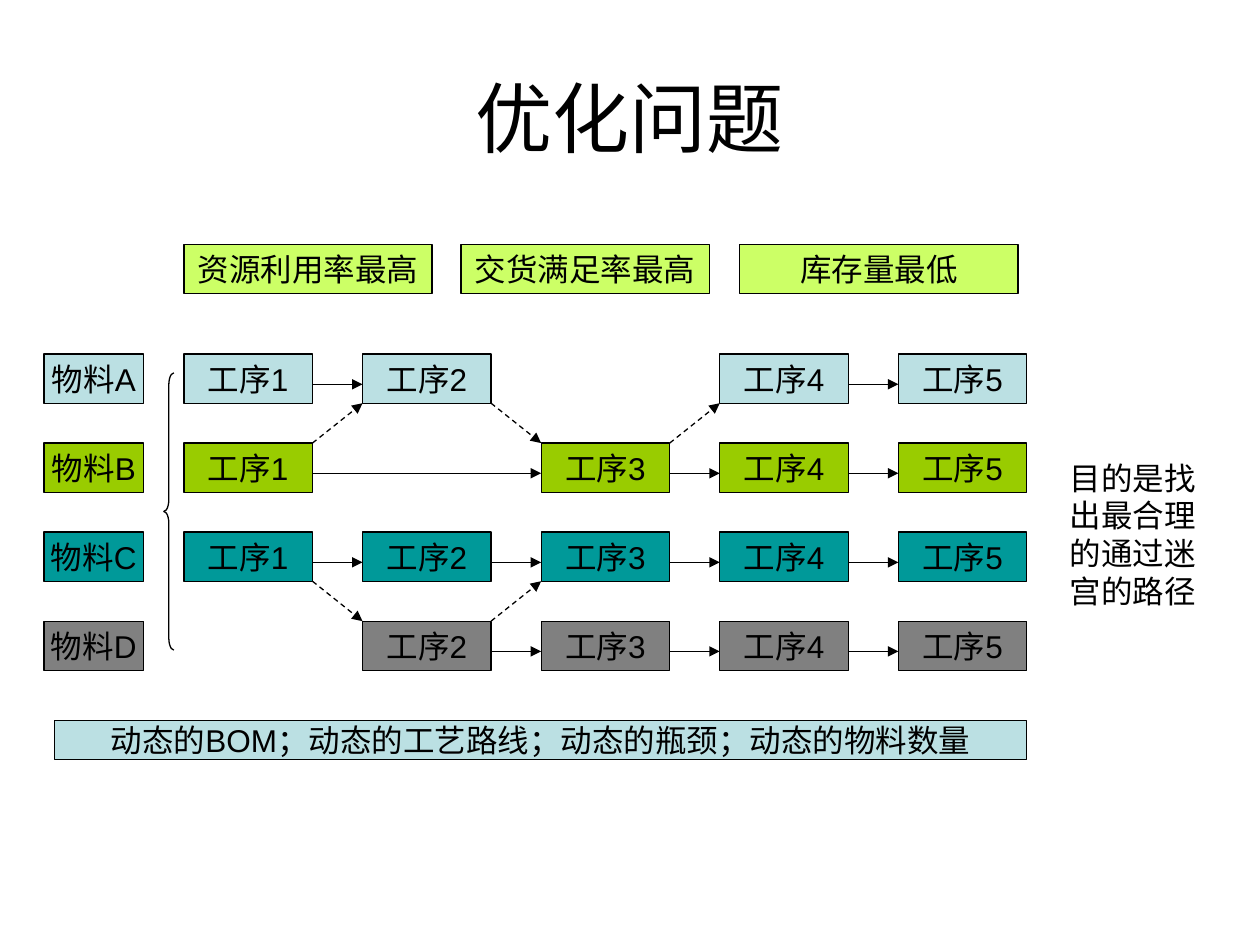
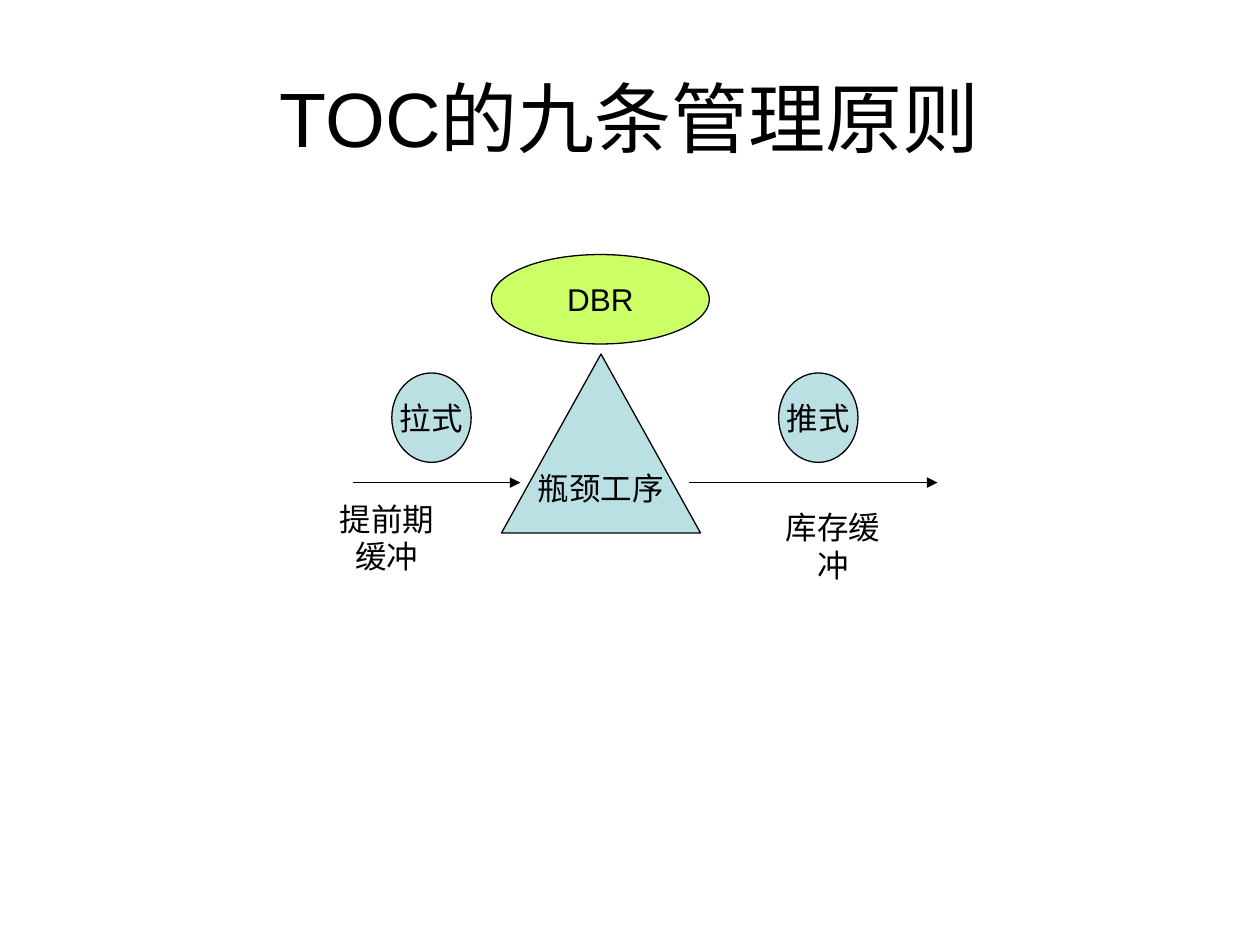
from dataclasses import dataclass

from pptx import Presentation
from pptx.dml.color import RGBColor
from pptx.enum.dml import MSO_LINE
from pptx.enum.shapes import MSO_CONNECTOR, MSO_SHAPE
from pptx.enum.text import MSO_ANCHOR, PP_ALIGN
from pptx.oxml.ns import qn
from pptx.oxml.xmlchemy import OxmlElement
from pptx.util import Inches, Pt

RECTANGLE = MSO_SHAPE.RECTANGLE
OVAL = MSO_SHAPE.OVAL
TRIANGLE = MSO_SHAPE.FLOWCHART_EXTRACT
BRACE = MSO_SHAPE.LEFT_BRACE
STRAIGHT = MSO_CONNECTOR.STRAIGHT
DASH = MSO_LINE.DASH
MIDDLE, TOP = MSO_ANCHOR.MIDDLE, MSO_ANCHOR.TOP
CENTER, LEFT = PP_ALIGN.CENTER, PP_ALIGN.LEFT
TITLE_ONLY = 5


@dataclass(frozen=True)
class Theme:
    """Colours, font and type sizes shared by the slides."""

    ink: str = "000000"
    pale_blue: str = "BBE0E3"
    lime: str = "CCFF66"
    green: str = "99CC00"
    teal: str = "009999"
    gray: str = "808080"
    font: str = "Arial"
    title_size: int = 44
    body_size: int = 18
    line_width: float = 0.75


THEME = Theme()
INK = RGBColor.from_string(THEME.ink)

STEP_LEFT, STEP_PITCH = 1.46, (7.13 - 1.46) / 4
ROW_TOP, ROW_PITCH = 2.81, (4.93 - 2.81) / 3
STEP_WIDTH, STEP_HEIGHT = 1.02, 0.39
ARROW_DROP = 0.24

MATERIALS = {
    "A": (THEME.pale_blue, [(1, 2), (4, 5)]),
    "B": (THEME.green, [(1, 3, 4, 5)]),
    "C": (THEME.teal, [(1, 2, 3, 4, 5)]),
    "D": (THEME.gray, [(2, 3, 4, 5)]),
}
DETOURS = [("A", 2, "B", 3), ("C", 1, "D", 2), ("D", 2, "C", 3),
           ("B", 1, "A", 2), ("B", 3, "A", 4)]
GOALS = [("资源利用率最高", 1.46, 1.97), ("交货满足率最高", 3.66, 1.97),
         ("库存量最低", 5.87, 2.21)]


def inches(*lengths):
    """Convert several lengths in inches."""
    return [Inches(length) for length in lengths]


def set_all(target, values):
    """Set each named attribute of the target."""
    for name, value in values.items():
        setattr(target, name, value)


def write(frame, text, size=THEME.body_size, align=CENTER, anchor=MIDDLE, wrap=False):
    """Write one formatted paragraph into a text frame."""
    set_all(frame, {
        "word_wrap": wrap, "vertical_anchor": anchor,
        "margin_left": Inches(0.1), "margin_right": Inches(0.1),
        "margin_top": Inches(0.05), "margin_bottom": Inches(0.05),
    })
    paragraph = frame.paragraphs[0]
    paragraph.alignment = align
    run = paragraph.add_run()
    run.text = text
    set_all(run.font, {"name": THEME.font, "size": Pt(size)})
    run.font.color.rgb = INK


def outline(line):
    """Give a line the shared colour and width."""
    line.color.rgb = INK
    line.width = Pt(THEME.line_width)


def add_titled_slide(deck, text):
    """Add a slide with its formatted title."""
    slide = deck.slides.add_slide(deck.slide_layouts[TITLE_ONLY])
    title = slide.shapes.title
    set_all(title, dict(zip(("left", "top", "width", "height"),
                            inches(0.5, 0.3, 9, 1.25))))
    write(title.text_frame, text, THEME.title_size, wrap=True)
    return slide


def add_node(slide, text, box, fill, kind=RECTANGLE):
    """Add a filled, outlined shape with centred text."""
    node = slide.shapes.add_shape(kind, *inches(*box))
    node.shadow.inherit = False
    node.fill.solid()
    node.fill.fore_color.rgb = RGBColor.from_string(fill)
    outline(node.line)
    write(node.text_frame, text)


def add_label(slide, text, box, **layout):
    """Add plain text without a frame."""
    label = slide.shapes.add_textbox(*inches(*box))
    write(label.text_frame, text, **layout)


def add_brace(slide, box):
    """Add the brace that gathers the materials."""
    brace = slide.shapes.add_shape(BRACE, *inches(*box))
    brace.shadow.inherit = False
    brace.fill.background()
    outline(brace.line)
    brace.adjustments[0] = 1.17


def add_arrow(slide, start, end, dashed=False):
    """Add a straight arrow, dashed for a detour."""
    arrow = slide.shapes.add_connector(STRAIGHT, *inches(*start, *end))
    outline(arrow.line)
    if dashed:
        arrow.line.dash_style = DASH
    properties = arrow.element.spPr
    head = OxmlElement("a:tailEnd")
    head.set("type", "triangle")
    properties.find(qn("a:ln")).append(head)
    properties.append(OxmlElement("a:effectLst"))


def step_left(step):
    """Return the left edge of a process step."""
    return STEP_LEFT + (step - 1) * STEP_PITCH


def row_top(material):
    """Return the top edge of a material's row."""
    return ROW_TOP + list(MATERIALS).index(material) * ROW_PITCH


def add_route(slide, material, fill, chains):
    """Add a material with its steps and the arrows between them."""
    top = row_top(material)
    add_node(slide, f"物料{material}", (0.35, top, 0.79, STEP_HEIGHT), fill)
    for chain in chains:
        for step in chain:
            add_node(slide, f"工序{step}",
                     (step_left(step), top, STEP_WIDTH, STEP_HEIGHT), fill)
        for step, following in zip(chain, chain[1:]):
            add_arrow(slide, (step_left(step) + STEP_WIDTH, top + ARROW_DROP),
                      (step_left(following), top + ARROW_DROP))


def add_detour(slide, material, step, other, following):
    """Add a dashed arrow from one material's row to another's."""
    start, end = row_top(material), row_top(other)
    if start < end:
        start += STEP_HEIGHT
    else:
        end += STEP_HEIGHT
    add_arrow(slide, (step_left(step) + STEP_WIDTH, start),
              (step_left(following), end), dashed=True)


def build_optimisation(deck):
    """Build the slide of routes through the process maze."""
    slide = add_titled_slide(deck, "优化问题")
    for goal, left, width in GOALS:
        add_node(slide, goal, (left, 1.94, width, STEP_HEIGHT), THEME.lime)
    for material, (fill, chains) in MATERIALS.items():
        add_route(slide, material, fill, chains)
    for detour in DETOURS:
        add_detour(slide, *detour)
    add_brace(slide, (1.3, 2.96, 0.08, 2.2))
    add_node(slide, "动态的BOM；动态的工艺路线；动态的瓶颈；动态的物料数量",
             (0.43, 5.72, 7.72, 0.31), THEME.pale_blue)
    add_label(slide, "目的是找出最合理的通过迷宫的路径", (8.39, 3.59, 1.34, 1.3),
              align=LEFT, anchor=TOP, wrap=True)


def build_principles(deck):
    """Build the slide of pull and push around the bottleneck."""
    slide = add_titled_slide(deck, "TOC的九条管理原则")
    add_node(slide, "瓶颈工序", (3.98, 2.81, 1.58, 1.42), THEME.pale_blue, TRIANGLE)
    for start, end in ((2.8, 4.13), (5.47, 7.44)):
        add_arrow(slide, (start, 3.83), (end, 3.83))
    for mode, left in (("拉式", 3.11), ("推式", 6.18)):
        add_node(slide, mode, (left, 2.96, 0.63, 0.71), THEME.pale_blue, OVAL)
    for buffer, left, top in (("提前期缓冲", 2.48, 3.99), ("库存缓冲", 6.02, 4.06)):
        add_label(slide, buffer, (left, top, 1.18, 0.55))
    add_node(slide, "DBR", (3.9, 2.02, 1.73, 0.71), THEME.lime, OVAL)


def main():
    """Build and save the presentation."""
    deck = Presentation()
    deck.slide_width, deck.slide_height = inches(10, 7.5)
    build_optimisation(deck)
    build_principles(deck)
    deck.save("out.pptx")


if __name__ == "__main__":
    main()
